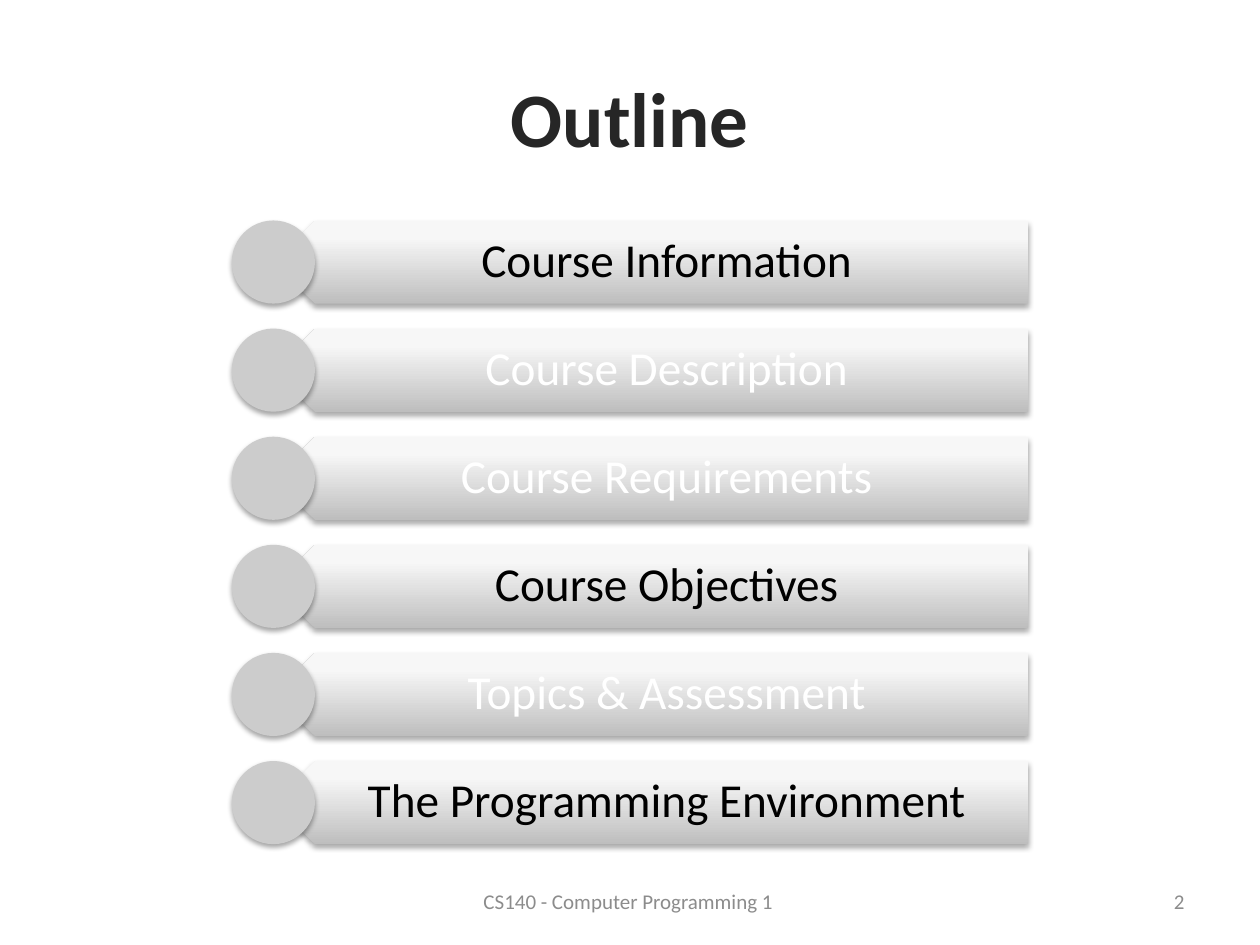
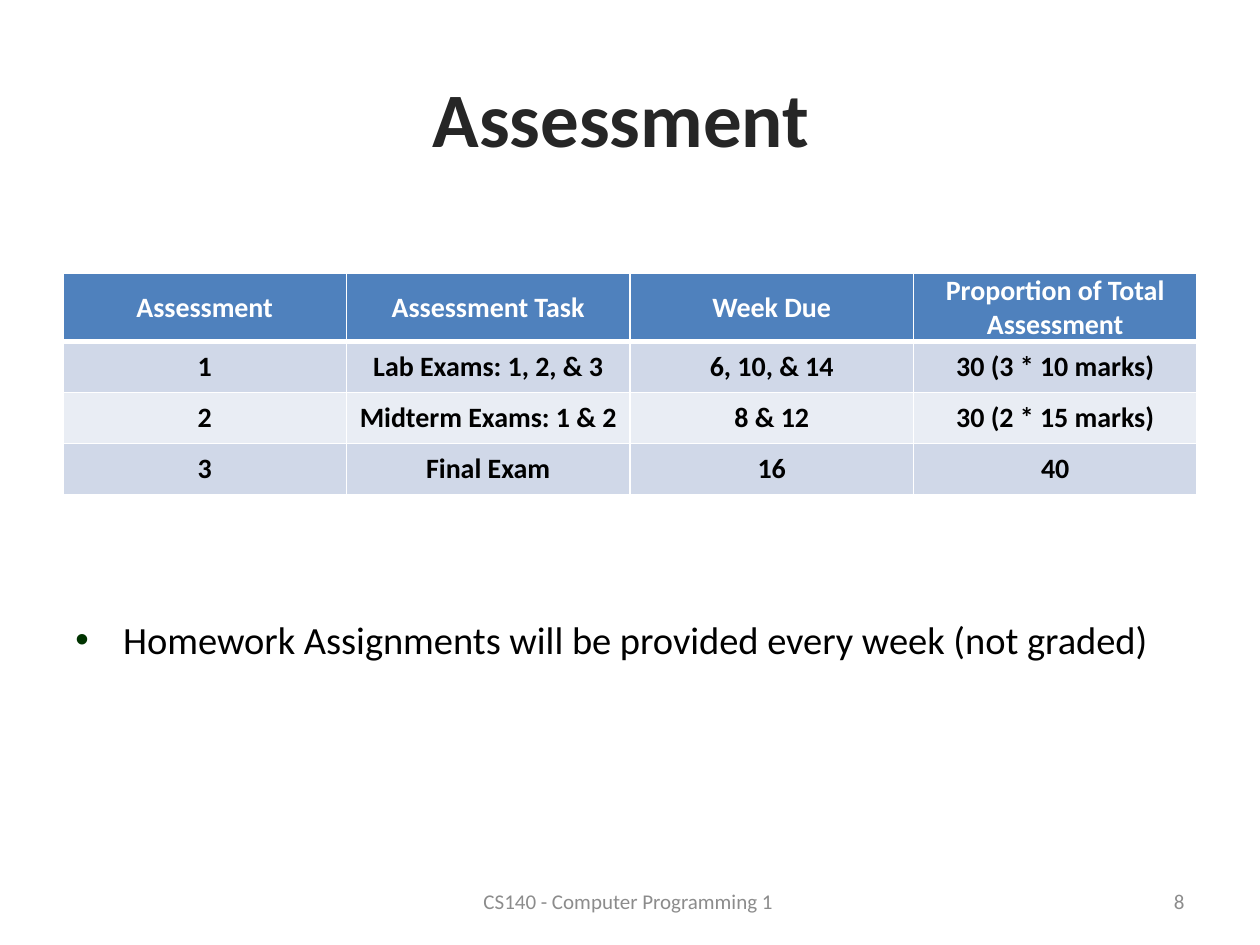
"""Build two course slides: the outline and the assessment plan."""
from dataclasses import dataclass

import pptx
import pptx.dml.color
import pptx.enum.shapes
import pptx.enum.text
import pptx.oxml
import pptx.oxml.ns
import pptx.oxml.xmlchemy
import pptx.presentation
import pptx.shapes.autoshape
import pptx.slide
import pptx.table
import pptx.text.text
import pptx.util
from pptx.util import Inches

ALIGN = pptx.enum.text.PP_ALIGN
ANCHOR = pptx.enum.text.MSO_ANCHOR
SHAPE = pptx.enum.shapes.MSO_SHAPE
qn = pptx.oxml.ns.qn
NAMESPACE = pptx.oxml.ns.nsdecls("a")


@dataclass(frozen=True)
class Theme:
    """Colours, type sizes and font of the deck."""
    font: str = "Calibri"
    title_size: int = 44
    topic_size: int = 27
    note_size: int = 22
    table_size: int = 16
    footer_size: int = 12
    title: str = "262626"
    text: str = "000000"
    white: str = "FFFFFF"
    footer: str = "8C8C8C"
    bullet: str = "003300"
    disc: str = "CCCCCC"
    bar_stops: tuple[tuple[int, str], ...] = ((0, "BEBEBE"), (80, "F7F7F7"), (100, "F8F8F8"))
    header_fill: str = "4F81BD"
    row_fills: tuple[str, str] = ("D0D8E8", "E9EDF4")


@dataclass(frozen=True)
class Box:
    """Place and size in inches."""
    left: float
    top: float
    width: float
    height: float

    def lengths(self) -> tuple[pptx.util.Length, ...]:
        """Return the four measures as lengths."""
        return tuple(Inches(n) for n in (self.left, self.top, self.width, self.height))


@dataclass(frozen=True)
class TextStyle:
    """Look of one paragraph."""
    size: int
    color: str
    bold: bool = False
    align: ALIGN = ALIGN.CENTER


@dataclass(frozen=True)
class Topic:
    """One line of the outline."""
    label: str
    color: str


THEME = Theme()
TITLE_BOX = Box(0.5, 0.3, 9, 1.25)
COURSE_BOX = Box(3.42, 6.95, 3.17, 0.4)
NUMBER_BOX = Box(7.17, 6.95, 2.33, 0.4)
NOTE_BOX = Box(0.5, 4.84, 9, 1.86)
COURSE = "CS140 - Computer Programming 1 "

TOPICS = (
    Topic("Course Information", THEME.text),
    Topic("Course Description", THEME.white),
    Topic("Course Requirements", THEME.white),
    Topic("Course Objectives", THEME.text),
    Topic("Topics & Assessment", THEME.white),
    Topic("The Programming Environment", THEME.text),
)
TOPIC_TOP, TOPIC_PITCH, TOPIC_HEIGHT = 1.75, 0.858, 0.66

ASSESSMENTS = (
    ("Assessment", "Assessment Task", "Week Due", "Proportion of Total Assessment"),
    ("1", "Lab Exams: 1, 2, & 3", "6, 10, & 14", "30 (3 * 10 marks)"),
    ("2", "Midterm Exams: 1 & 2", "8 & 12", "30 (2 * 15 marks)"),
    ("3", "Final Exam", "16", "40"),
)
HEADER_HEIGHT, ROW_HEIGHT = 0.54, 0.405


def rgb(color: str) -> pptx.dml.color.RGBColor:
    """Turn a hex string into a colour."""
    return pptx.dml.color.RGBColor.from_string(color)


def write(paragraph: pptx.text.text._Paragraph, text: str, style: TextStyle) -> None:
    """Put styled text into a paragraph."""
    paragraph.text = text
    paragraph.alignment = style.align
    paragraph.font.name = THEME.font
    paragraph.font.size = pptx.util.Pt(style.size)
    paragraph.font.bold = style.bold
    paragraph.font.color.rgb = rgb(style.color)


def add_text(slide: pptx.slide.Slide, box: Box, text: str, style: TextStyle,
             anchor: ANCHOR = ANCHOR.MIDDLE) -> pptx.text.text.TextFrame:
    """Add a wrapping text box and return its frame."""
    frame = slide.shapes.add_textbox(*box.lengths()).text_frame
    frame.word_wrap = True
    frame.vertical_anchor = anchor
    write(frame.paragraphs[0], text, style)
    return frame


def add_slide(deck: pptx.presentation.Presentation, title: str, number: int) -> pptx.slide.Slide:
    """Add a blank slide with the shared title and footer."""
    slide = deck.slides.add_slide(deck.slide_layouts[6])
    add_text(slide, TITLE_BOX, title, TextStyle(THEME.title_size, THEME.title, bold=True))
    add_text(slide, COURSE_BOX, COURSE, TextStyle(THEME.footer_size, THEME.footer))
    add_text(slide, NUMBER_BOX, str(number),
             TextStyle(THEME.footer_size, THEME.footer, align=ALIGN.RIGHT))
    return slide


def add_raised(slide: pptx.slide.Slide, kind: SHAPE, box: Box) -> pptx.shapes.autoshape.Shape:
    """Add an outline-free shape with a soft shadow below it."""
    shape = slide.shapes.add_shape(kind, *box.lengths())
    shape.line.fill.background()
    shape.shadow.inherit = False
    shape._element.spPr.find(qn("a:effectLst")).append(pptx.oxml.parse_xml(
        f'<a:outerShdw {NAMESPACE} blurRad="{pptx.util.Pt(3.1)}" dist="{pptx.util.Pt(1.8)}" '
        'dir="5400000" rotWithShape="0"><a:srgbClr val="000000"><a:alpha val="35000"/>'
        '</a:srgbClr></a:outerShdw>'))
    return shape


def fill_bar(bar: pptx.shapes.autoshape.Shape) -> None:
    """Shade a bar from dark at the bottom to light, whatever its rotation."""
    bar.fill.gradient()
    bar.fill.gradient_angle = 90
    gradient = bar._element.spPr.find(qn("a:gradFill"))
    gradient.set("rotWithShape", "0")
    stops = gradient.find(qn("a:gsLst"))
    for stop in list(stops):
        stops.remove(stop)
    for position, color in THEME.bar_stops:
        stops.append(pptx.oxml.parse_xml(
            f'<a:gs {NAMESPACE} pos="{position * 1000}"><a:srgbClr val="{color}"/></a:gs>'))


def add_topic(slide: pptx.slide.Slide, topic: Topic, top: float) -> None:
    """Draw one outline line: bar, label and disc."""
    bar = add_raised(slide, SHAPE.PENTAGON, Box(2.17, top, 5.99, TOPIC_HEIGHT))
    bar.rotation = 180
    fill_bar(bar)
    label = add_text(slide, Box(2.34, top, 5.82, TOPIC_HEIGHT), topic.label,
                     TextStyle(THEME.topic_size, topic.color))
    label.margin_left, label.margin_right = Inches(0.29), Inches(0.21)
    label.margin_top = label.margin_bottom = Inches(0.11)
    label.paragraphs[0].line_spacing = 0.9
    disc = add_raised(slide, SHAPE.OVAL, Box(1.84, top, TOPIC_HEIGHT, TOPIC_HEIGHT))
    disc.fill.solid()
    disc.fill.fore_color.rgb = rgb(THEME.disc)


def format_cell(cell: pptx.table._Cell, row: int) -> None:
    """Set margins, white borders and fill of a cell."""
    cell.vertical_anchor = ANCHOR.MIDDLE
    cell.margin_left = cell.margin_right = Inches(0.07)
    cell.margin_top = cell.margin_bottom = 0
    properties = cell._tc.get_or_add_tcPr()
    widths = {"L": 1, "R": 1, "T": 3 if row == 1 else 1, "B": 3 if row == 0 else 1}
    for side, width in widths.items():
        properties.append(pptx.oxml.parse_xml(
            f'<a:ln{side} {NAMESPACE} w="{pptx.util.Pt(width)}"><a:solidFill>'
            f'<a:srgbClr val="{THEME.white}"/></a:solidFill></a:ln{side}>'))
    cell.fill.solid()
    cell.fill.fore_color.rgb = rgb(THEME.row_fills[(row - 1) % 2] if row else THEME.header_fill)


def add_assessments(slide: pptx.slide.Slide) -> None:
    """Add the assessment table."""
    box = Box(0.5, 2.17, 9, HEADER_HEIGHT + ROW_HEIGHT * (len(ASSESSMENTS) - 1))
    table = slide.shapes.add_table(len(ASSESSMENTS), len(ASSESSMENTS[0]), *box.lengths()).table
    for row, values in enumerate(ASSESSMENTS):
        table.rows[row].height = Inches(ROW_HEIGHT if row else HEADER_HEIGHT)
        style = TextStyle(THEME.table_size, THEME.text if row else THEME.white, bold=True)
        for column, value in enumerate(values):
            cell = table.cell(row, column)
            format_cell(cell, row)
            write(cell.text_frame.paragraphs[0], value, style)


def add_note(slide: pptx.slide.Slide, text: str) -> None:
    """Add a bulleted note with a hanging indent."""
    frame = add_text(slide, NOTE_BOX, text,
                     TextStyle(THEME.note_size, THEME.text, align=ALIGN.LEFT), ANCHOR.TOP)
    properties = frame.paragraphs[0]._p.get_or_add_pPr()
    properties.set("marL", str(Inches(0.38)))
    properties.set("indent", str(-Inches(0.38)))
    bullet = (f'<a:buClr {NAMESPACE}><a:srgbClr val="{THEME.bullet}"/></a:buClr>',
              f'<a:buFont {NAMESPACE} typeface="Arial"/>',
              f'<a:buChar {NAMESPACE} char="•"/>')
    for position, part in enumerate(bullet):
        properties.insert(position, pptx.oxml.parse_xml(part))


def main() -> None:
    """Build and save the deck."""
    deck = pptx.Presentation()
    deck.slide_width, deck.slide_height = Inches(10), Inches(7.5)

    outline = add_slide(deck, "Outline", 2)
    for index, topic in enumerate(TOPICS):
        add_topic(outline, topic, TOPIC_TOP + index * TOPIC_PITCH)

    assessment = add_slide(deck, "Assessment ", 8)
    add_assessments(assessment)
    add_note(assessment, "Homework Assignments will be provided every week (not graded)")

    deck.save("out.pptx")


main()
